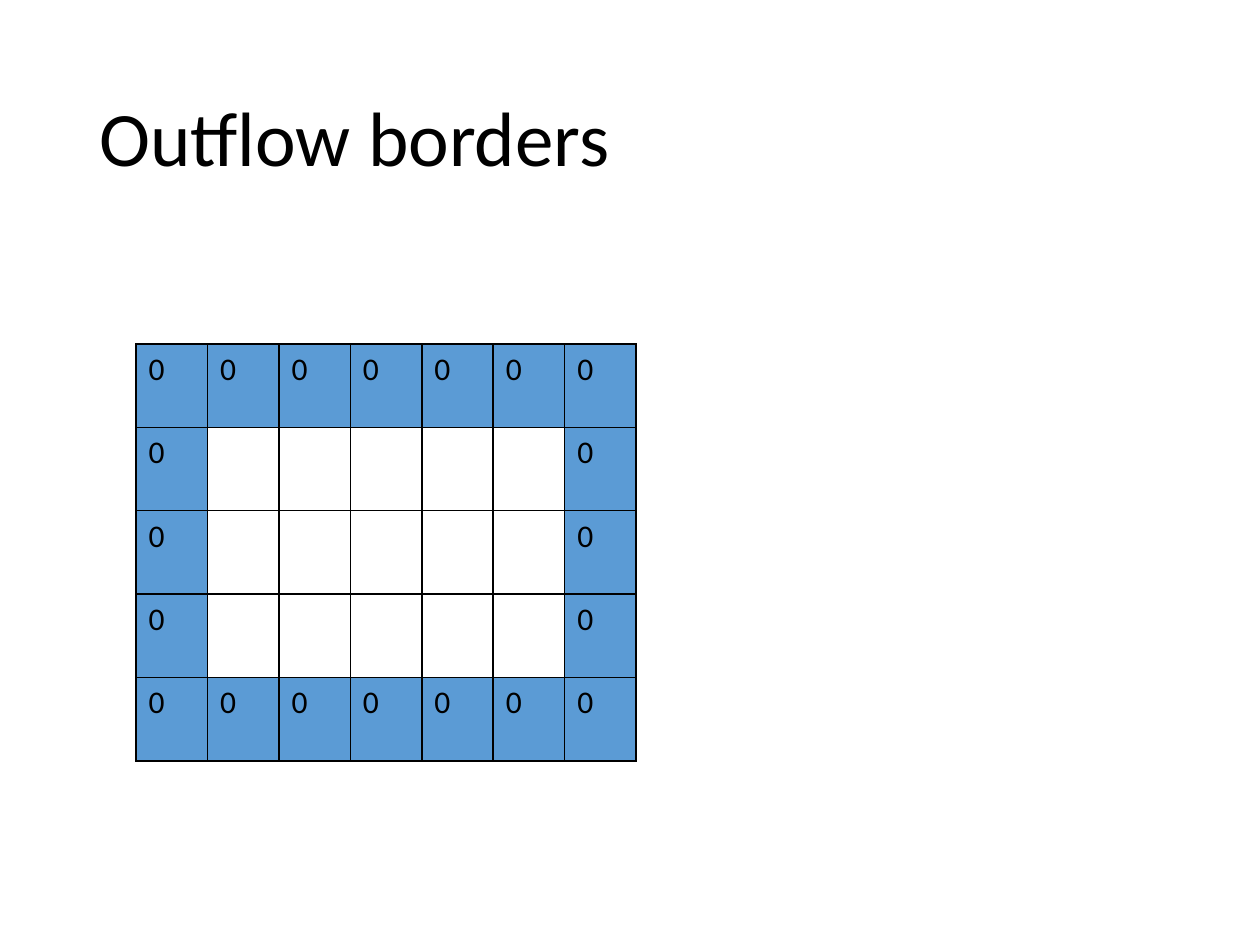
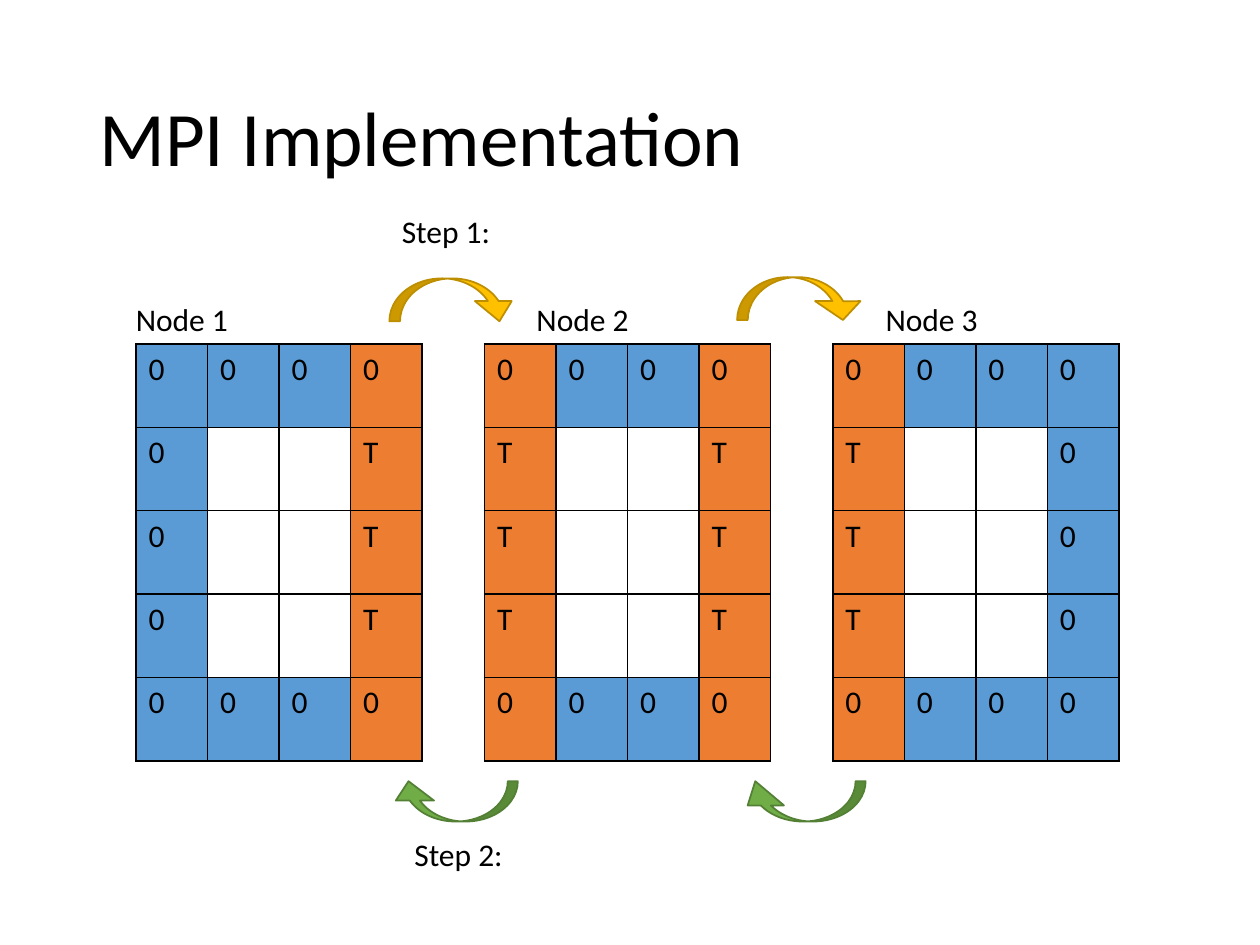
from lxml import etree
from pptx import Presentation
from pptx.dml.color import RGBColor
from pptx.enum.shapes import MSO_SHAPE
from pptx.enum.text import MSO_ANCHOR, MSO_AUTO_SIZE
from pptx.oxml.ns import qn
from pptx.util import Inches, Pt

ARROW = MSO_SHAPE.CURVED_DOWN_ARROW
MIDDLE = MSO_ANCHOR.MIDDLE
GROW = MSO_AUTO_SIZE.SHAPE_TO_FIT_TEXT

FONT = "Calibri"
BLACK = "000000"
BLUE = "5B9BD5"
ORANGE = "ED7D31"
GOLD = ("FFC000", "BD8E00")
GREEN = ("70AD47", "538035")

ROWS = 5
GRID_TOP = 2.73
GRID_HIGH = 3.31
GRID_LEFT = 1.08
NODE_STEP = 2.765
ARROW_LEFT = 3.09
ARROW_STEP = 2.76


def color(code):
    return RGBColor.from_string(code)


def add_run(para, text, size):
    run = para.add_run()
    run.text = text
    run.font.name = FONT
    run.font.size = Pt(size)
    run.font.color.rgb = color(BLACK)


def add_title(slide, text):
    box = slide.shapes.add_textbox(Inches(0.69), Inches(0.4), Inches(8.62), Inches(1.45))
    frame = box.text_frame
    frame.word_wrap = True
    frame.vertical_anchor = MIDDLE
    para = frame.paragraphs[0]
    para.line_spacing = 0.9
    add_run(para, text, 44)


def add_label(slide, text, left, top, width):
    box = slide.shapes.add_textbox(Inches(left), Inches(top), Inches(width), Inches(0.4))
    frame = box.text_frame
    frame.word_wrap = False
    frame.auto_size = GROW
    add_run(frame.paragraphs[0], text, 18)


def set_border(cell):
    props = cell._tc.get_or_add_tcPr()
    for pos, side in enumerate(("lnL", "lnR", "lnT", "lnB")):
        line = etree.Element(qn(f"a:{side}"), w=str(Pt(1)))
        fill = etree.SubElement(line, qn("a:solidFill"))
        etree.SubElement(fill, qn("a:srgbClr"), val=BLACK)
        props.insert(pos, line)


def add_grid(slide, left, width, cols, shared=()):
    frame = slide.shapes.add_table(
        ROWS, cols, Inches(left), Inches(GRID_TOP), Inches(width), Inches(GRID_HIGH))
    table = frame.table
    table.first_row = table.horz_banding = False
    for row in range(ROWS):
        for col in range(cols):
            cell = table.cell(row, col)
            edge = row in (0, ROWS - 1)
            if edge or col in (0, cols - 1):
                cell.fill.solid()
                cell.fill.fore_color.rgb = color(ORANGE if col in shared else BLUE)
                text = "T" if col in shared and not edge else "0"
                add_run(cell.text_frame.paragraphs[0], text, 18)
            else:
                cell.fill.background()
            set_border(cell)


def add_arrow(slide, left, top, height, bend, paint, turn=0):
    shape = slide.shapes.add_shape(
        ARROW, Inches(left), Inches(top), Inches(1.02), Inches(height))
    shape.shadow.inherit = False
    shape.rotation = turn
    for pos, value in enumerate(bend):
        shape.adjustments[pos] = value
    fill, line = paint
    shape.fill.solid()
    shape.fill.fore_color.rgb = color(fill)
    shape.line.color.rgb = color(line)
    shape.line.width = Pt(1)


def add_borders(slide):
    add_title(slide, "Outflow borders")
    add_grid(slide, GRID_LEFT, 3.97, 7)


def add_nodes(slide):
    add_title(slide, "MPI Implementation")
    nodes = (((3,), 0.98), ((0, 3), 4.16), ((0,), 6.93))
    for pos, (shared, left) in enumerate(nodes):
        add_grid(slide, GRID_LEFT + pos * NODE_STEP, 2.27, 4, shared)
        add_label(slide, f"Node {pos + 1}", left, 2.33, 0.94)

    sends = ((2.21, (0.25, 0.86, 0.47)), (2.2, (0.25, 1.06, 0.44)))
    backs = ((0.25, 0.95, 0.48), (0.25, 0.9, 0.6))
    for pos, ((top, send), back) in enumerate(zip(sends, backs)):
        left = ARROW_LEFT + pos * ARROW_STEP
        add_arrow(slide, left, top, 0.34, send, GOLD)
        add_arrow(slide, left, 6.2, 0.32, back, GREEN, 180)

    add_label(slide, "Step 1:", 3.09, 1.63, 0.91)
    add_label(slide, "Step 2:", 3.19, 6.58, 0.91)


def main():
    deck = Presentation()
    deck.slide_width = Inches(10)
    deck.slide_height = Inches(7.5)
    blank = deck.slide_layouts[6]
    for build in (add_borders, add_nodes):
        build(deck.slides.add_slide(blank))
    deck.save("out.pptx")


if __name__ == "__main__":
    main()
